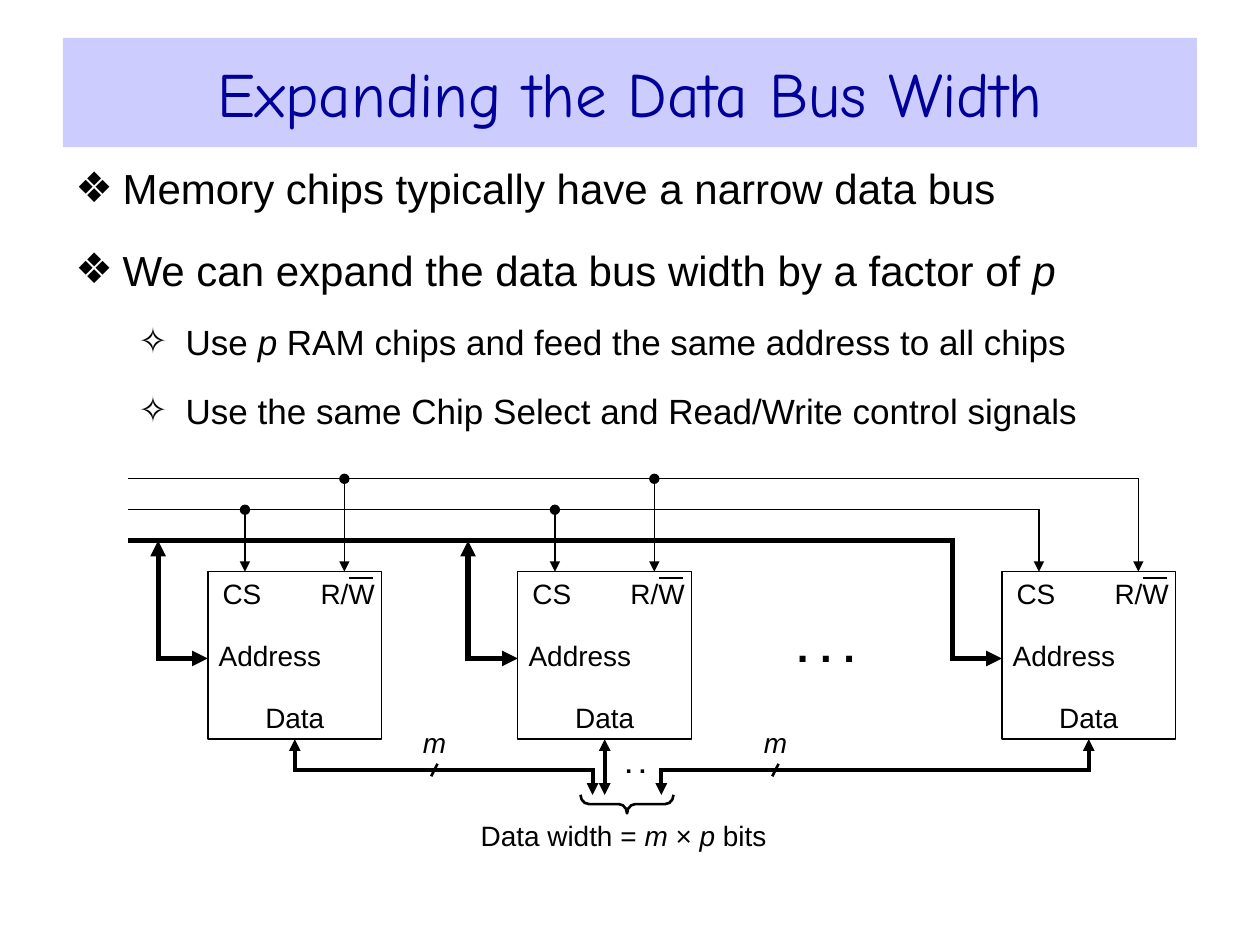
from lxml import etree
from pptx import Presentation, util as u
from pptx.dml.color import RGBColor
from pptx.enum import shapes, text
from pptx.oxml.ns import qn

Pt = u.Pt
THEME = {
    "font": "Arial", "title_font": "Comic Neue",
    "ink": "000000", "title": "000099", "band": "CCCCFF", "paper": "FFFFFF",
    "title_size": 36, "level_size": (24, 20), "label": 16, "dots": 24, "small_dots": 14,
    "thin": 0.75, "mark": 1.5, "data": 2.25, "address": 3,
}

# Content: a run is (text, style), style "i" italic, "b" bold
TITLE = [("Expanding the Data Bus Width", "")]
BULLETS = [
    (0, [("Memory chips typically have a narrow data bus", "")]),
    (0, [("We can expand the data bus width by a factor of ", ""), ("p", "i")]),
    (1, [("Use ", ""), ("p", "i"), (" RAM chips and feed the same address to all chips", "")]),
    (1, [("Use the same Chip Select and Read/Write control signals", "")]),
]
# Bullet, left margin, hanging indent and space before of each level
LEVELS = [("❖", 27, 27, 18), ("✧", 63, 27, 15)]
WIDTH_NOTE = [("Data width = ", ""), ("m", "i"), (" × ", ""), ("p", "i"), (" bits", "")]

# Diagram grid
CHIPS = (118.8, 295.9, 572.5)
CHIP_TOP, CHIP_W, CHIP_H = 326.7, 99.3, 95.7
CHIP_BOTTOM = CHIP_TOP + CHIP_H
PINS = [("CS", 3.5, 3.5, 31.9), ("R/W", 63.9, 3.5, 31.9),  # name, dx, dy, width
        ("Address", 0, 39, 70.9), ("Data", 14.2, 74.4, 70.9)]
LABEL_H = 17.7
CS_X, RW_X, ADDRESS_Y, DATA_X = 21.2, 78, 376.3, CHIP_W / 2
BUS_LEFT, RW_Y, CS_Y, ADDRESS_BUS_Y = 73.1, 273.6, 291.3, 309
TAP_DX = 28.4
DATA_Y, DATA_END = 440.1, 454.3


def rgb(name):
    return RGBColor.from_string(THEME[name])


def add_runs(p, runs, size, color="ink", font="font"):
    for words, style in runs:
        r = p.add_run()
        r.text = words
        r.font.name, r.font.size = THEME[font], Pt(size)
        r.font.italic, r.font.bold = "i" in style, "b" in style
        r.font.color.rgb = rgb(color)


def label(s, x, y, w, h, runs, size=THEME["label"]):
    tf = s.shapes.add_textbox(Pt(x), Pt(y), Pt(w), Pt(h)).text_frame
    tf.word_wrap = True
    tf.margin_left = tf.margin_right = tf.margin_top = tf.margin_bottom = 0
    tf.vertical_anchor = text.MSO_ANCHOR.MIDDLE
    p = tf.paragraphs[0]
    p.alignment = text.PP_ALIGN.CENTER
    add_runs(p, runs, size)


def box(s, kind, x, y, w, h, fill=None, line=None):
    sp = s.shapes.add_shape(kind, Pt(x), Pt(y), Pt(w), Pt(h))
    sp.shadow.inherit = False
    if fill:
        sp.fill.solid()
        sp.fill.fore_color.rgb = rgb(fill)
    else:
        sp.fill.background()
    if line:
        sp.line.color.rgb, sp.line.width = rgb("ink"), Pt(THEME[line])
    else:
        sp.line.fill.background()
    return sp


def wire(s, points, weight, head=None, tail=None):
    pts = [(Pt(x), Pt(y)) for x, y in points]
    if len(pts) == 2:
        sp = s.shapes.add_connector(shapes.MSO_CONNECTOR.STRAIGHT, *pts[0], *pts[1])
    else:
        path_builder = s.shapes.build_freeform(*pts[0], scale=1.0)
        path_builder.add_line_segments(pts[1:], close=False)
        sp = path_builder.convert_to_shape()
        sp.fill.background()
        sp.shadow.inherit = False
    sp.line.color.rgb, sp.line.width = rgb("ink"), Pt(THEME[weight])
    ln = sp.line._get_or_add_ln()
    etree.SubElement(ln, qn("a:miter"), lim="800000")
    for tag, kind in (("a:headEnd", head), ("a:tailEnd", tail)):
        if kind:
            etree.SubElement(ln, qn(tag), type=kind)
    if len(pts) == 2:
        etree.SubElement(sp._element.spPr, qn("a:effectLst"))


def add_title(s):
    sp = box(s, shapes.MSO_SHAPE.RECTANGLE, 36, 21.6, 648, 62.6, "band")
    tf = sp.text_frame
    tf.vertical_anchor = text.MSO_ANCHOR.MIDDLE
    tf.paragraphs[0].alignment = text.PP_ALIGN.CENTER
    add_runs(tf.paragraphs[0], TITLE, THEME["title_size"], "title", "title_font")


def add_bullets(s):
    tf = s.shapes.add_textbox(Pt(36), Pt(89.3), Pt(648), Pt(177)).text_frame
    tf.word_wrap = True
    for i, (level, runs) in enumerate(BULLETS):
        mark, margin, hang, before = LEVELS[level]
        p = tf.paragraphs[0] if i == 0 else tf.add_paragraph()
        p.level = level
        p.space_before = Pt(before if i else 0)
        pPr = p._p.get_or_add_pPr()
        pPr.set("marL", str(Pt(margin)))
        pPr.set("indent", str(-Pt(hang)))
        color = etree.SubElement(pPr, qn("a:buClr"))
        etree.SubElement(color, qn("a:srgbClr"), val=THEME["ink"])
        etree.SubElement(pPr, qn("a:buFont"), typeface=THEME["font"])
        etree.SubElement(pPr, qn("a:buChar"), char=mark)
        add_runs(p, runs, THEME["level_size"][level])


def add_chip(s, x):
    box(s, shapes.MSO_SHAPE.RECTANGLE, x, CHIP_TOP, CHIP_W, CHIP_H, "paper", "thin")
    for name, dx, dy, w in PINS:
        label(s, x + dx, CHIP_TOP + dy, w, LABEL_H, [(name, "")])
    # Bar over the W
    wire(s, [(x + 80.4, 330.3), (x + 94.5, 330.3)], "thin")


def add_buses(s):
    last = CHIPS[-1]
    # Address bus, with a tap for each chip but the last
    turn = last - TAP_DX
    wire(s, [(BUS_LEFT, ADDRESS_BUS_Y), (turn, ADDRESS_BUS_Y), (turn, ADDRESS_Y),
             (last, ADDRESS_Y)], "address", tail="triangle")
    for x in CHIPS[:-1]:
        tap = x - TAP_DX
        wire(s, [(x, ADDRESS_Y), (tap, ADDRESS_Y), (tap, ADDRESS_BUS_Y)],
             "address", "triangle", "triangle")
    # Control lines
    for dx, y in ((RW_X, RW_Y), (CS_X, CS_Y)):
        wire(s, [(BUS_LEFT, y), (last + dx, y), (last + dx, CHIP_TOP)], "thin", tail="triangle")
        for x in CHIPS[:-1]:
            wire(s, [(x + dx, y), (x + dx, CHIP_TOP)], "thin", "oval", "triangle")


def add_data_lines(s):
    first, middle, last = (x + DATA_X for x in CHIPS)
    for x, end in ((first, 338.6), (middle, middle), (last, 377.9)):
        bend = [] if x == end else [(x, DATA_Y), (end, DATA_Y)]
        wire(s, [(x, CHIP_BOTTOM), *bend, (end, DATA_END)], "data", "triangle", "triangle")
    # Width marks
    for x in (248.2, 443.1):
        wire(s, [(x + 1.8, 436.5), (x - 1.8, 443.6)], "mark")
        label(s, x - 12.2, 415.4, 24.5, LABEL_H, [("m", "i")])
    # Brace and total width
    brace = box(s, shapes.MSO_SHAPE.RIGHT_BRACE, 353, 432.9, 10.6, 53.2, line="mark")
    brace.rotation = 90
    brace.adjustments[0] = 0.45
    label(s, 267.8, 468.7, 177.1, LABEL_H, WIDTH_NOTE)


def main():
    prs = Presentation()
    prs.slide_width, prs.slide_height = Pt(720), Pt(540)
    s = prs.slides.add_slide(prs.slide_layouts[6])
    add_title(s)
    add_bullets(s)
    for x in CHIPS:
        add_chip(s, x)
    add_buses(s)
    add_data_lines(s)
    # Dots for the chips and lines left out
    label(s, 424.1, 355, 95.8, 28.1, [(". . .", "b")], THEME["dots"])
    label(s, 345.6, 425.5, 35.3, 21.6, [(". .", "b")], THEME["small_dots"])
    prs.save("out.pptx")


if __name__ == "__main__":
    main()
